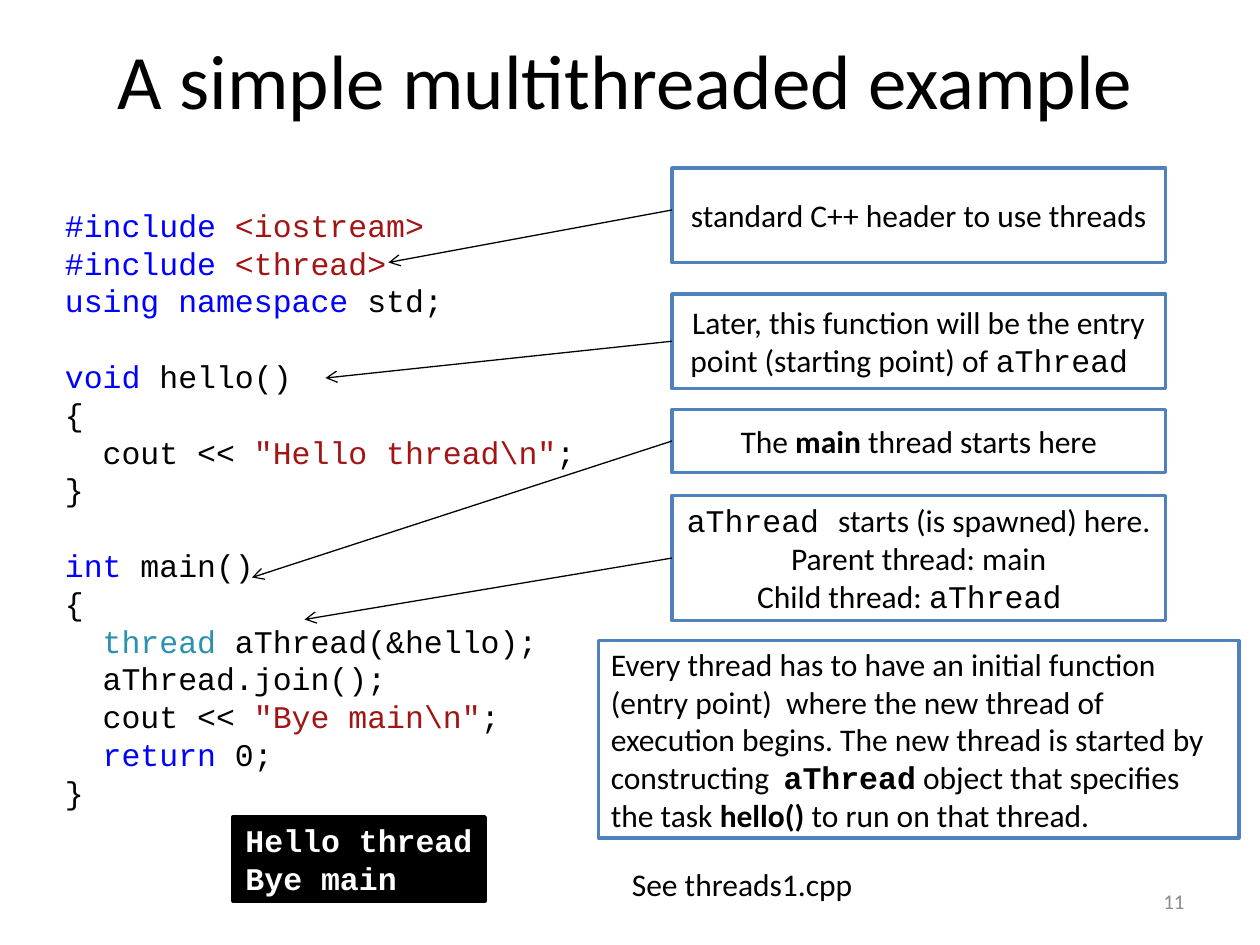
from dataclasses import dataclass

from lxml import etree
from pptx import Presentation
from pptx import util as u
from pptx.dml.color import RGBColor
from pptx.enum import shapes, text
from pptx.oxml import ns

PX = u.Inches(1) // 120
LEFT_SIDE = 1


@dataclass(frozen=True)
class Theme:
    body_font: str = "Calibri"
    code_font: str = "Courier New"
    black: str = "000000"
    white: str = "FFFFFF"
    border: str = "4F81BD"
    keyword: str = "0000FF"
    string: str = "A31515"
    type_name: str = "2B91AF"
    muted: str = "8C8C8C"
    title_size: float = 44
    body_size: float = 18
    number_size: float = 12
    code_line: float = 21.6
    box_line: float = 2
    arrow_line: float = 0.75


@dataclass(frozen=True)
class Span:
    words: str
    color: str = Theme.black
    font: str = Theme.body_font
    bold: bool = False


def code(words, color=Theme.black, bold=False):
    return Span(words, color, Theme.code_font, bold)


def keyword(words):
    return code(words, Theme.keyword)


def string(words):
    return code(words, Theme.string)


class SlideBuilder:
    def __init__(self, deck, theme):
        self.theme = theme
        self.slide = deck.slides.add_slide(deck.slide_layouts[6])

    def fill_text(self, shape, paragraphs, size, align, anchor, gaps=()):
        """Fill a shape with lists of spans; gaps holds the lines that follow an empty line."""
        frame = shape.text_frame
        frame.word_wrap = True
        frame.vertical_anchor = anchor
        for index, spans in enumerate(paragraphs):
            para = frame.paragraphs[0] if index == 0 else frame.add_paragraph()
            para.alignment = align
            if index in gaps:
                para.space_before = u.Pt(self.theme.code_line)
            for span in spans:
                run = para.add_run()
                run.text = span.words
                run.font.name = span.font
                run.font.size = u.Pt(size)
                run.font.bold = span.bold
                run.font.color.rgb = RGBColor.from_string(span.color)

    def label(self, place, paragraphs, size=Theme.body_size, align=text.PP_ALIGN.LEFT,
              anchor=text.MSO_ANCHOR.TOP, gaps=()):
        box = self.slide.shapes.add_textbox(*(n * PX for n in place))
        self.fill_text(box, paragraphs, size, align, anchor, gaps)

    def box(self, place, paragraphs, align=text.PP_ALIGN.CENTER,
            fill=Theme.white, line=Theme.border):
        box = self.slide.shapes.add_shape(
            shapes.MSO_SHAPE.RECTANGLE, *(n * PX for n in place))
        box.shadow.inherit = False
        box.fill.solid()
        box.fill.fore_color.rgb = RGBColor.from_string(fill)
        box.line.color.rgb = RGBColor.from_string(line)
        box.line.width = u.Pt(self.theme.box_line)
        self.fill_text(box, paragraphs, self.theme.body_size, align, text.MSO_ANCHOR.MIDDLE)
        return box

    def arrow(self, start, end, source=None):
        """Draw an arrow, joined to the left side of source if one is given."""
        arrow = self.slide.shapes.add_connector(
            shapes.MSO_CONNECTOR.STRAIGHT, *(n * PX for n in start + end))
        if source is not None:
            arrow.begin_connect(source, LEFT_SIDE)
        arrow.line.color.rgb = RGBColor.from_string(self.theme.black)
        arrow.line.width = u.Pt(self.theme.arrow_line)
        properties = arrow._element.spPr
        outline = properties.find(ns.qn("a:ln"))
        etree.SubElement(outline, ns.qn("a:tailEnd"), type="arrow")
        etree.SubElement(properties, ns.qn("a:effectLst"))


CODE = [
    [keyword("#include"), code(" "), string("<iostream>")],
    [keyword("#include"), code(" "), string("<thread>")],
    [keyword("using"), code(" "), keyword("namespace"), code(" std;")],
    [keyword("void"), code(" hello()")],
    [code("{")],
    [code("  cout << "), string('"Hello thread\\n"'), code(";")],
    [code("}")],
    [keyword("int"), code(" main()")],
    [code("{")],
    [code("  thread", Theme.type_name), code(" aThread(&hello);")],
    [code("  aThread.join();")],
    [code("  cout << "), string('"Bye main\\n"'), code(";")],
    [keyword("  return"), code(" 0;")],
    [code("}")],
]
FUNCTION_STARTS = (3, 7)

NOTE_LEFT, NOTE_WIDTH = 640, 470
# top, height, arrow start height, arrow tip, paragraphs
NOTES = [
    (160, 90, 200, (370, 250), [[Span("standard C++ header to use threads")]]),
    (280, 90, 325, (310, 360), [
        [Span("Later, this function will be the entry point (starting point) of "),
         code("aThread ")]]),
    (390, 60, 420, (240, 550), [
        [Span("The "), Span("main ", bold=True), Span("thread starts here")]]),
    (472, 119, 531, (290, 590), [
        [code("aThread "), Span("starts (is spawned) here.")],
        [Span("Parent thread: main")],
        [Span("Child thread: "), code("aThread ")]]),
]

SUMMARY = [[
    Span("Every thread has to have an initial function (entry point)  where the new "
         "thread of execution begins. The new thread is started by constructing  "),
    code("aThread", bold=True),
    Span(" object that specifies the task "),
    Span("hello()", bold=True),
    Span(" to run on that thread."),
]]

OUTPUT = [[code(line, Theme.white, bold=True)] for line in ("Hello thread", "Bye main")]


def main():
    deck = Presentation()
    deck.slide_width, deck.slide_height = 1200 * PX, 900 * PX
    theme = Theme()
    page = SlideBuilder(deck, theme)

    page.label((86, 0, 1020, 150), [[Span("A simple multithreaded example")]],
               theme.title_size, text.PP_ALIGN.CENTER, text.MSO_ANCHOR.MIDDLE)
    page.label((50, 190, 580, 594), CODE, gaps=FUNCTION_STARTS)

    for top, height, start, tip, paragraphs in NOTES:
        note = page.box((NOTE_LEFT, top, NOTE_WIDTH, height), paragraphs)
        is_middle = start == top + height // 2
        page.arrow((NOTE_LEFT, start), tip, note if is_middle else None)

    page.box((570, 610, 610, 188), SUMMARY, text.PP_ALIGN.LEFT)
    page.box((222, 778, 240, 80), OUTPUT, text.PP_ALIGN.LEFT, theme.black, theme.black)
    page.label((590, 818, 320, 48), [[Span("See threads1.cpp")]])
    page.label((860, 834, 280, 48), [[Span("11", theme.muted)]],
               theme.number_size, text.PP_ALIGN.RIGHT, text.MSO_ANCHOR.MIDDLE)
    deck.save("out.pptx")


if __name__ == "__main__":
    main()
